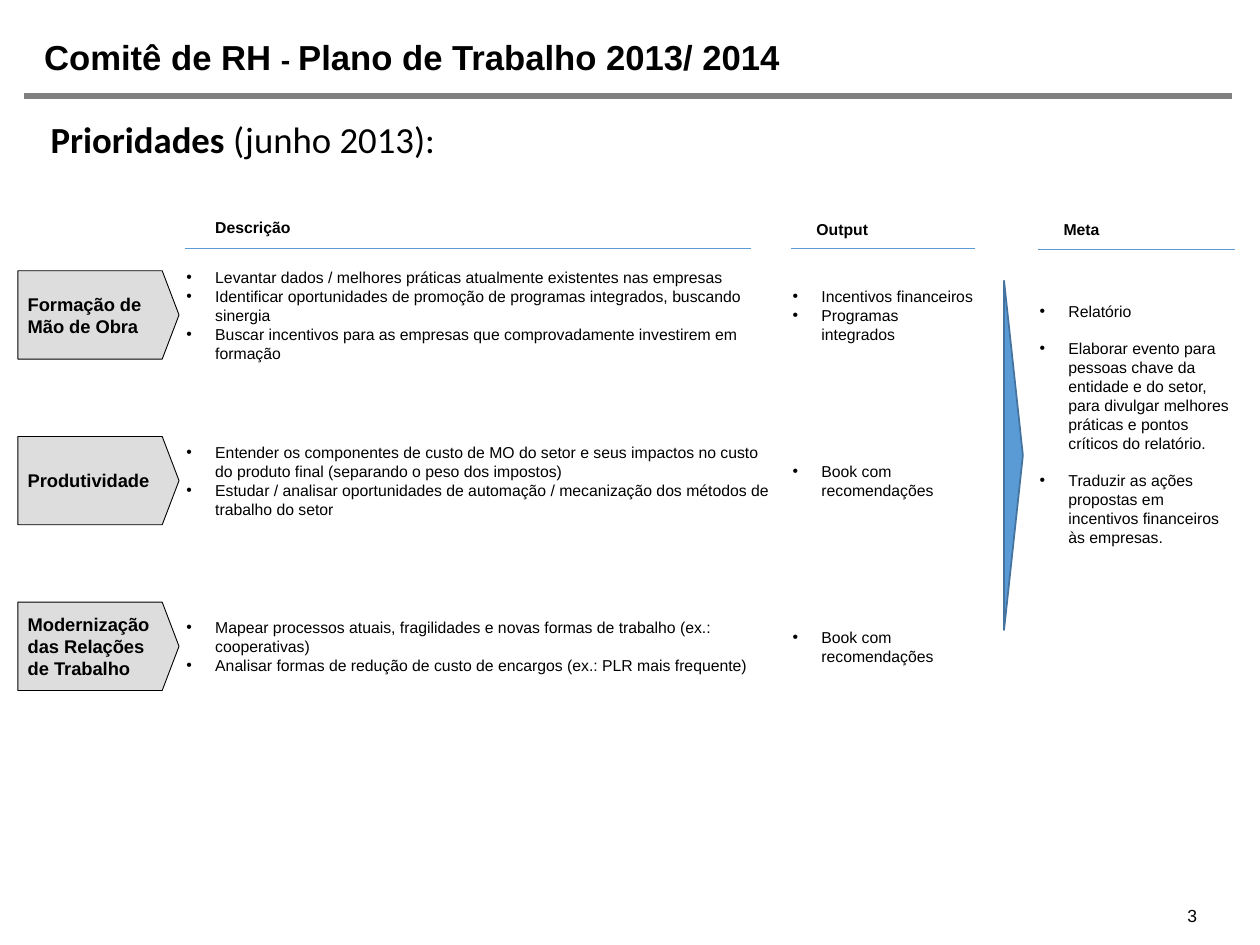
"""Build the HR committee work plan slide with its priorities, outputs and goals."""
from lxml.etree import SubElement
from pptx import Presentation
from pptx.dml.color import RGBColor
from pptx.enum.shapes import MSO_CONNECTOR, MSO_SHAPE
from pptx.enum.text import MSO_ANCHOR, PP_ALIGN
from pptx.oxml.ns import qn
from pptx.util import Cm, Pt

BLACK = RGBColor(0x00, 0x00, 0x00)
GRAY = RGBColor(0x80, 0x80, 0x80)
LIGHT_GRAY = RGBColor(0xDD, 0xDD, 0xDD)
BLUE = RGBColor(0x5B, 0x9B, 0xD5)
DARK_BLUE = RGBColor(0x43, 0x73, 0x9E)

prs = Presentation()
prs.slide_width, prs.slide_height = Cm(25.4), Cm(19.05)
slide = prs.slides.add_slide(prs.slide_layouts[6])


def add_text(left, middle, width, height, paragraphs, font="Arial", bullets=False,
             gap=0, spacing=1.0, align=PP_ALIGN.LEFT):
    frame = slide.shapes.add_textbox(
        Cm(left), Cm(middle - height / 2), Cm(width), Cm(height)).text_frame
    frame.margin_left = frame.margin_right = frame.margin_top = frame.margin_bottom = 0
    frame.word_wrap = True
    frame.vertical_anchor = MSO_ANCHOR.MIDDLE
    for index, runs in enumerate(paragraphs):
        paragraph = frame.add_paragraph() if index else frame.paragraphs[0]
        paragraph.alignment = align
        paragraph.line_spacing = spacing
        if index and gap:
            paragraph.space_before = Pt(gap)
        if bullets:
            properties = paragraph._p.get_or_add_pPr()
            properties.set("marL", str(Cm(0.61)))
            properties.set("indent", str(Cm(-0.58)))
            SubElement(properties, qn("a:buFont"), typeface="Arial")
            SubElement(properties, qn("a:buChar"), char="•")
        for text, size, bold in runs:
            run = paragraph.add_run()
            run.text = text
            run.font.name = font
            run.font.size = Pt(size)
            run.font.bold = bold
            run.font.color.rgb = BLACK


def add_rule(left, right, y, color, weight):
    rule = slide.shapes.add_connector(
        MSO_CONNECTOR.STRAIGHT, Cm(left), Cm(y), Cm(right), Cm(y))
    rule.line.color.rgb = color
    rule.line.width = Pt(weight)
    SubElement(rule._element.spPr, qn("a:effectLst"))


add_rule(0.48, 24.84, 1.93, GRAY, 3.2)
add_text(0.89, 1.19, 20.4, 0.69, [[
    ("Comitê de RH ", 19.8, True),
    ("- ", 16.2, True),
    ("Plano de Trabalho 2013/ 2014", 19.8, True),
]], spacing=0.9)
add_text(1.02, 2.86, 20.9, 0.8, [[
    ("Prioridades", 21, True),
    (" (junho 2013):", 21, False),
]], font="Calibri", spacing=0.9)

columns = [
    ("Descrição", 4.34, 4.58, 3.73, 15.14, 5.0),
    ("Output", 16.46, 4.61, 15.95, 19.66, 5.0),
    ("Meta", 21.44, 4.61, 20.93, 24.89, 5.03),
]
for heading, text_left, text_middle, rule_left, rule_right, rule_y in columns:
    add_text(text_left, text_middle, 3.3, 0.38, [[(heading, 9, True)]])
    add_rule(rule_left, rule_right, rule_y, BLUE, 0.5)

priorities = [
    ("Formação de Mão de Obra",
     ["Levantar dados / melhores práticas atualmente existentes nas empresas",
      "Identificar oportunidades de promoção de programas integrados, buscando sinergia",
      "Buscar incentivos para as empresas que comprovadamente investirem em formação"],
     ["Incentivos financeiros", "Programas integrados"]),
    ("Produtividade",
     ["Entender os componentes de custo de MO do setor e seus impactos no custo "
      "do produto final (separando o peso dos impostos)",
      "Estudar / analisar oportunidades de automação / mecanização dos métodos de "
      "trabalho do setor"],
     ["Book com recomendações"]),
    ("Modernização das Relações de Trabalho",
     ["Mapear processos atuais, fragilidades e novas formas de trabalho (ex.: cooperativas)",
      "Analisar formas de redução de custo de encargos (ex.: PLR mais frequente)"],
     ["Book com recomendações"]),
]
ROW_HEIGHT = 1.78
for row, (priority, descriptions, outputs) in enumerate(priorities):
    middle = 6.35 + row * 3.34
    tag = slide.shapes.add_shape(
        MSO_SHAPE.PENTAGON, Cm(0.36), Cm(middle - ROW_HEIGHT / 2), Cm(3.25), Cm(ROW_HEIGHT))
    tag.adjustments[0] = 0.19
    tag.shadow.inherit = False
    tag.fill.solid()
    tag.fill.fore_color.rgb = LIGHT_GRAY
    tag.line.color.rgb = BLACK
    tag.line.width = Pt(0.5)
    add_text(0.56, middle, 2.74, 1.35, [[(priority, 10.5, True)]])
    for left, width, items in [(3.73, 11.84, descriptions), (15.95, 3.71, outputs)]:
        add_text(left, middle, width, ROW_HEIGHT,
                 [[(item, 9, False)] for item in items], bullets=True)

goals = [
    "Relatório",
    "Elaborar evento para pessoas chave da entidade e do setor, para divulgar "
    "melhores práticas e pontos críticos do relatório.",
    "Traduzir as ações propostas em incentivos financeiros às empresas.",
]
add_text(20.93, 8.55, 3.96, 5.0, [[(goal, 9, False)] for goal in goals],
         bullets=True, gap=10.35)

goal_arrow = slide.shapes.add_shape(
    MSO_SHAPE.ISOSCELES_TRIANGLE, Cm(16.91), Cm(8.99), Cm(7.04), Cm(0.38))
goal_arrow.rotation = 90
goal_arrow.shadow.inherit = False
goal_arrow.fill.solid()
goal_arrow.fill.fore_color.rgb = BLUE
goal_arrow.line.color.rgb = DARK_BLUE
goal_arrow.line.width = Pt(1)

add_text(18.19, 18.45, 5.94, 0.43, [[("3", 10, False)]], align=PP_ALIGN.RIGHT)

prs.save("out.pptx")
